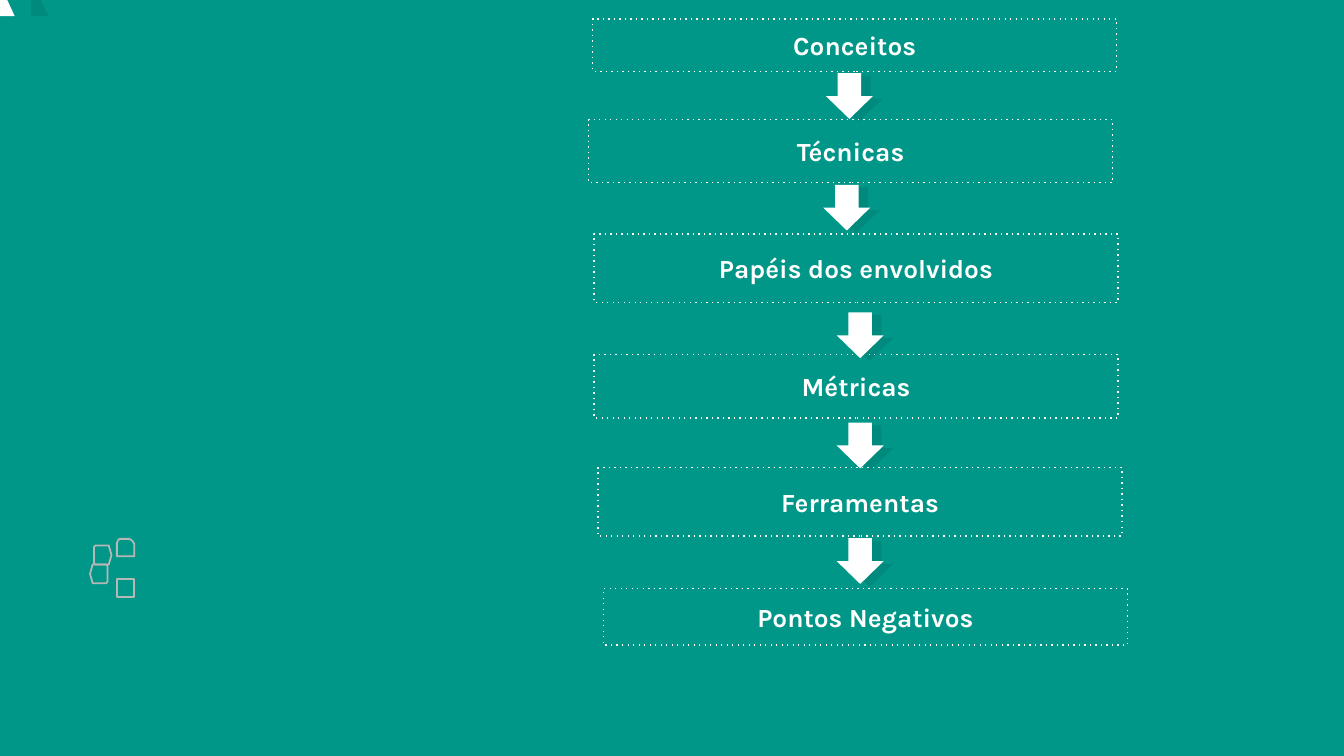
from lxml import etree
from pptx import Presentation
from pptx.dml.color import RGBColor
from pptx.enum.dml import MSO_LINE
from pptx.enum.shapes import MSO_SHAPE
from pptx.enum.text import MSO_ANCHOR, PP_ALIGN
from pptx.oxml.ns import qn
from pptx.util import Inches, Pt

RECTANGLE = MSO_SHAPE.RECTANGLE
RIGHT_ARROW = MSO_SHAPE.RIGHT_ARROW
ROUND_DOT = MSO_LINE.ROUND_DOT
MIDDLE = MSO_ANCHOR.MIDDLE
CENTER = PP_ALIGN.CENTER

COLORS = {
    "background": "009688",
    "white": "FFFFFF",
    "shade": "000000",
    "icon": "B7B7B7",
}
FONT = "Karla"
SHADE_ALPHA = 8

TOPICS = [
    ("Conceitos", 4.41, 0.14, 0.39),
    ("Técnicas", 4.38, 0.89, 0.47),
    ("Papéis dos envolvidos", 4.42, 1.74, 0.51),
    ("Métricas", 4.42, 2.64, 0.47),
    ("Ferramentas", 4.45, 3.48, 0.51),
    ("Pontos Negativos", 4.49, 4.38, 0.42),
]
ARROWS = [(6.15, 0.54), (6.13, 1.37), (6.23, 2.32), (6.23, 3.14), (6.23, 4.0)]

CORNER_MARK = [(-0.02, -0.01), (-0.02, 0.12), (0.11, 0.12), (0.05, -0.01)]
UPPER_TAG = [(0.81, 4.06), (0.71, 4.06), (0.7, 4.07), (0.7, 4.19),
             (0.71, 4.2), (0.81, 4.2), (0.83, 4.13)]
LOWER_TAG = [(1.5 - x, y + 0.14) for x, y in UPPER_TAG]
ROUNDED_TAB = [(1, 4.14), (1, 4.05), (0.99, 4.03), (0.98, 4.02), (0.96, 4.01),
               (0.91, 4.01), (0.89, 4.01), (0.88, 4.02), (0.87, 4.04), (0.87, 4.14)]
SQUARE = [(0.87, 4.31), (0.87, 4.44), (1, 4.44), (1, 4.31)]


class TopicSlide:
    def __init__(self, presentation):
        self.slide = presentation.slides.add_slide(presentation.slide_layouts[6])
        fill = self.slide.background.fill
        fill.solid()
        fill.fore_color.rgb = self.color("background")

    def color(self, name):
        return RGBColor.from_string(COLORS[name])

    def style(self, shape, fill=None, line=None, width=0.75, alpha=None):
        shape.shadow.inherit = False
        if fill:
            shape.fill.solid()
            shape.fill.fore_color.rgb = self.color(fill)
        else:
            shape.fill.background()
        if line:
            shape.line.color.rgb = self.color(line)
            shape.line.width = Pt(width)
        else:
            shape.line.fill.background()
        if alpha:
            color_element = shape._element.spPr.find(qn("a:solidFill"))[0]
            etree.SubElement(color_element, qn("a:alpha"), val=str(alpha * 1000))

    def outline(self, shapes, points, shift=0, **style):
        corners = [(Inches(x + shift), Inches(y)) for x, y in points]
        builder = shapes.build_freeform(*corners[0], scale=1.0)
        builder.add_line_segments(corners[1:], close=True)
        self.style(builder.convert_to_shape(), **style)

    def topic(self, text, left, top, height):
        shape = self.slide.shapes.add_shape(
            RECTANGLE, Inches(left), Inches(top), Inches(3.9), Inches(height))
        self.style(shape, line="white")
        shape.line.dash_style = ROUND_DOT
        shape.line._ln.find(qn("a:prstDash")).set("val", "dot")
        frame = shape.text_frame
        frame.word_wrap = True
        frame.vertical_anchor = MIDDLE
        frame.margin_left = frame.margin_right = Inches(0.1)
        frame.margin_top = frame.margin_bottom = Inches(0.1)
        paragraph = frame.paragraphs[0]
        paragraph.alignment = CENTER
        run = paragraph.add_run()
        run.text = text
        run.font.name = FONT
        run.font.size = Pt(14)
        run.font.bold = True
        run.font.color.rgb = self.color("white")

    def arrow(self, left, top):
        group = self.slide.shapes.add_group_shape()
        layers = [(0.07, 0.02, "shade", SHADE_ALPHA), (0, 0, "white", None)]
        for right, down, fill, alpha in layers:
            shape = group.shapes.add_shape(
                RIGHT_ARROW, Inches(left + right), Inches(top + down),
                Inches(0.34), Inches(0.35))
            shape.rotation = 90
            self.style(shape, fill=fill, alpha=alpha)

    def corner(self):
        shapes = self.slide.shapes
        self.outline(shapes, CORNER_MARK, shift=0.25, fill="shade", alpha=SHADE_ALPHA)
        self.outline(shapes, CORNER_MARK, fill="white")

    def icon(self):
        group = self.slide.shapes.add_group_shape()
        for points in (UPPER_TAG, LOWER_TAG, ROUNDED_TAB, SQUARE):
            self.outline(group.shapes, points, line="icon", width=0.96)


def main():
    presentation = Presentation()
    presentation.slide_width = Inches(10)
    presentation.slide_height = presentation.slide_width * 9 // 16
    slide = TopicSlide(presentation)
    slide.corner()
    slide.icon()
    for topic in TOPICS:
        slide.topic(*topic)
    for arrow in ARROWS:
        slide.arrow(*arrow)
    presentation.save("out.pptx")


if __name__ == "__main__":
    main()
